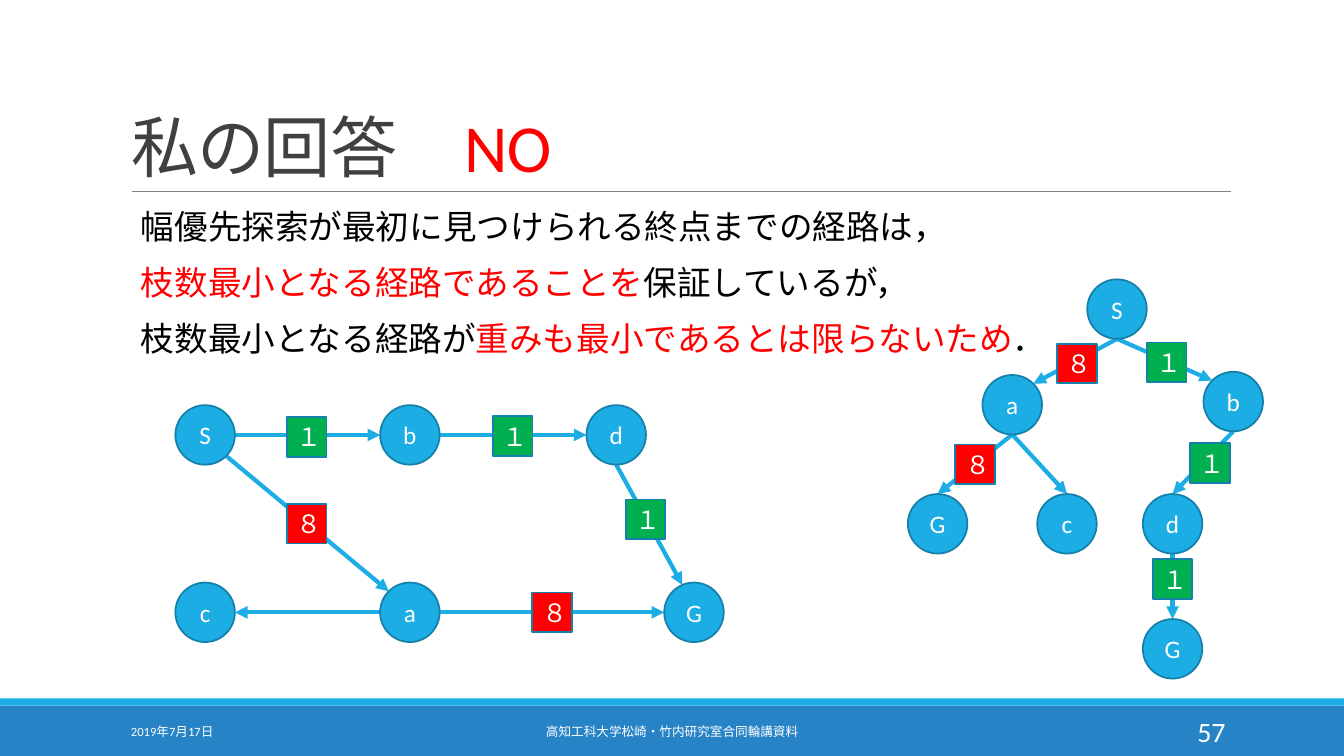
from math import cos, radians, sin

from lxml.etree import SubElement
from pptx import Presentation
from pptx.dml.color import RGBColor
from pptx.enum.shapes import MSO_CONNECTOR, MSO_SHAPE
from pptx.enum.text import MSO_ANCHOR, PP_ALIGN
from pptx.oxml.ns import qn
from pptx.util import Cm, Pt

WHITE = RGBColor(0xFF, 0xFF, 0xFF)
BLACK = RGBColor(0, 0, 0)
DARK = RGBColor(0x40, 0x40, 0x40)
GRAY = RGBColor(0x80, 0x80, 0x80)
RED = RGBColor(0xFF, 0, 0)
GREEN = RGBColor(0, 0xB0, 0x50)
CYAN = RGBColor(0x1C, 0xAD, 0xE4)
CYAN_DARK = RGBColor(0x15, 0x80, 0xA9)
BLUE = RGBColor(0x26, 0x83, 0xC6)

TITLE = [[("私の回答　", DARK), ("NO", RED)]]
REASON = [
    [("幅優先探索が最初に見つけられる終点までの経路は，", BLACK)],
    [("枝数最小となる経路であることを", RED), ("保証しているが，", BLACK)],
    [("枝数最小となる経路が", BLACK), ("重みも最小であるとは限らないため", RED), ("．", BLACK)],
]
FOOTER = [
    ("2019年7月17日", 3.05, 6.86, 9, PP_ALIGN.LEFT),
    ("高知工科大学松崎・竹内研究室合同輪講資料", 10.24, 13.39, 9, PP_ALIGN.CENTER),
    ("57", 27.51, 3.63, 20, PP_ALIGN.RIGHT),
]

RIGHT, LOWER_RIGHT, BOTTOM, LEFT = 0, 45, 90, 180
UPPER_LEFT, TOP, UPPER_RIGHT = 225, 270, 315
COSTS = {"１": GREEN, "８": RED}

# Edge: start, start angle, end, end angle, cost, cost centre
GRAPH = {
    "nodes": {"S": (5.17, 10.96), "b": (10.33, 10.96), "d": (15.53, 10.96),
              "c": (5.17, 15.43), "a": (10.33, 15.43), "G": (17.49, 15.43)},
    "edges": [
        ("S", RIGHT, "b", LEFT, "１", (7.73, 11.01)),
        ("b", RIGHT, "d", LEFT, "１", (12.92, 10.99)),
        ("d", BOTTOM, "G", 247, "１", (16.27, 13.09)),
        ("S", LOWER_RIGHT, "a", UPPER_LEFT, "８", (7.73, 13.2)),
        ("a", RIGHT, "G", LEFT, "８", (13.91, 15.43)),
        ("a", LEFT, "c", RIGHT, None, None),
    ],
}
TREE = {
    "nodes": {"S": (28.15, 7.79), "a": (25.51, 10.2), "b": (31.08, 10.12),
              "G": (23.63, 13.2), "c": (26.89, 13.2), "d": (29.55, 13.2),
              "G via d": (29.55, 16.35)},
    "edges": [
        ("S", BOTTOM, "a", UPPER_RIGHT, "８", (27.14, 9.16)),
        ("S", BOTTOM, "b", UPPER_LEFT, "１", (29.4, 9.13)),
        ("a", BOTTOM, "G", TOP, "８", (24.57, 11.7)),
        ("a", BOTTOM, "c", TOP, None, None),
        ("b", BOTTOM, "d", TOP, "１", (30.49, 11.67)),
        ("d", BOTTOM, "G via d", TOP, "１", (29.55, 14.59)),
    ],
}
NODE_SIZE, COST_SIZE = 1.5, 1.0


def write(frame, lines, size, align=PP_ALIGN.LEFT, anchor=MSO_ANCHOR.MIDDLE,
          spacing=1.0, before=0, after=0, indent=0, tracking=0):
    frame.word_wrap = True
    frame.vertical_anchor = anchor
    for index, runs in enumerate(lines):
        paragraph = frame.add_paragraph() if index else frame.paragraphs[0]
        paragraph.alignment = align
        paragraph.line_spacing = spacing
        paragraph.space_before = Pt(before if index else 0)
        paragraph.space_after = Pt(after)
        if indent:
            paragraph._p.get_or_add_pPr().set("marL", str(Cm(indent)))
        for text, color in runs:
            run = paragraph.add_run()
            run.text = text
            run.font.size = Pt(size)
            run.font.name = "Calibri"
            run.font.color.rgb = color
            if tracking:
                run.font._element.set("spc", str(int(tracking * 100)))


def draw_box(slide, kind, left, top, width, height, fill, outline=None):
    box = slide.shapes.add_shape(kind, Cm(left), Cm(top), Cm(width), Cm(height))
    box.shadow.inherit = False
    box.fill.solid()
    box.fill.fore_color.rgb = fill
    if outline is None:
        box.line.fill.background()
    else:
        box.line.color.rgb = outline
        box.line.width = Pt(1.25)
    return box


def draw_label(slide, kind, center, size, text, fill):
    left, top = (value - size / 2 for value in center)
    label = draw_box(slide, kind, left, top, size, size, fill, CYAN_DARK)
    write(label.text_frame, [[(text, WHITE)]], size=18, align=PP_ALIGN.CENTER)


def draw_line(slide, start, end, color, width, arrow=False):
    line = slide.shapes.add_connector(
        MSO_CONNECTOR.STRAIGHT, *(Cm(value) for value in (*start, *end)))
    line.line.color.rgb = color
    line.line.width = Pt(width)
    if arrow:
        SubElement(line.line._get_or_add_ln(), qn("a:tailEnd"), type="triangle")
    SubElement(line._element.spPr, qn("a:effectLst"))


def rim(center, angle):
    radius = NODE_SIZE / 2
    return (center[0] + radius * cos(radians(angle)),
            center[1] + radius * sin(radians(angle)))


def draw_network(slide, nodes, edges):
    for start, start_angle, end, end_angle, _, _ in edges:
        draw_line(slide, rim(nodes[start], start_angle), rim(nodes[end], end_angle),
                  CYAN, 3, arrow=True)
    for name, center in nodes.items():
        draw_label(slide, MSO_SHAPE.OVAL, center, NODE_SIZE, name[0], CYAN)
    for *_, cost, center in edges:
        if cost:
            draw_label(slide, MSO_SHAPE.RECTANGLE, center, COST_SIZE, cost, COSTS[cost])


def main():
    deck = Presentation()
    deck.slide_width, deck.slide_height = Cm(33.87), Cm(19.05)
    slide = deck.slides.add_slide(deck.slide_layouts[5])

    draw_box(slide, MSO_SHAPE.RECTANGLE, 0, 17.78, 33.87, 1.27, BLUE)
    draw_box(slide, MSO_SHAPE.RECTANGLE, 0, 17.6, 33.87, 0.18, CYAN)
    draw_line(slide, (3.32, 4.82), (31.01, 4.82), GRAY, 0.5)

    title = slide.shapes.title
    title.left, title.top, title.width, title.height = Cm(3.05), Cm(0.79), Cm(27.94), Cm(4.04)
    write(title.text_frame, TITLE, size=48, anchor=MSO_ANCHOR.BOTTOM,
          spacing=0.85, tracking=-0.5)

    reason = slide.shapes.add_textbox(Cm(3.05), Cm(5.18), Cm(27.94), Cm(9.12))
    write(reason.text_frame, REASON, size=24, anchor=MSO_ANCHOR.TOP,
          spacing=0.9, before=12, after=2, indent=0.25)

    for text, left, width, size, align in FOOTER:
        note = slide.shapes.add_textbox(Cm(left), Cm(17.93), Cm(width), Cm(1.02))
        write(note.text_frame, [[(text, WHITE)]], size=size, align=align)

    for network in (TREE, GRAPH):
        draw_network(slide, **network)

    deck.save("out.pptx")


if __name__ == "__main__":
    main()
